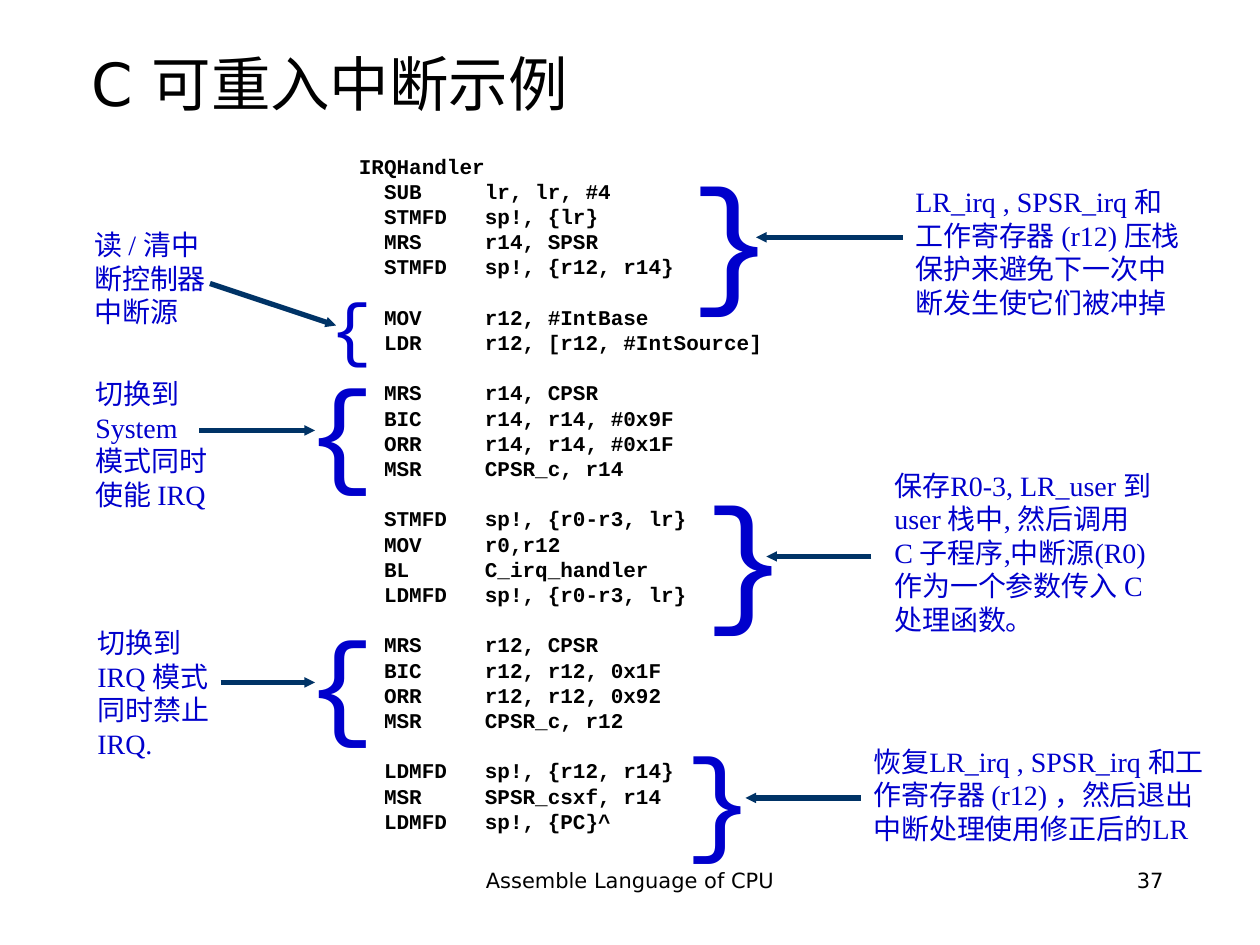
"""Build the slide on a reentrant C interrupt handler, on a grid of 120 columns by 90 rows."""
import pptx
import pptx.dml.color
import pptx.enum.shapes
import pptx.enum.text
import pptx.oxml.ns
import pptx.util
from lxml import etree

PP_ALIGN = pptx.enum.text.PP_ALIGN
ANCHOR = pptx.enum.text.MSO_ANCHOR
MARGINS = ("margin_left", "margin_top", "margin_right", "margin_bottom")

prs = pptx.Presentation()
prs.slide_width, prs.slide_height = pptx.util.Inches(10), pptx.util.Inches(7.5)
s = prs.slides.add_slide(prs.slide_layouts[5])


def rgb(h):
    """Turn a hex string into a colour."""
    return pptx.dml.color.RGBColor.from_string(h)


def put(sp, at, lines, size, font, color, bold=False, align=PP_ALIGN.LEFT,
        anchor=ANCHOR.TOP, inset=True, leading=1.2):
    """Place a text shape on the grid and fill it; a line starting a new group gets a gap."""
    for name, v in zip(("left", "top", "width", "height"), at):
        setattr(sp, name, int(v * prs.slide_width / 120))
    tf = sp.text_frame
    tf.word_wrap, tf.vertical_anchor = True, anchor
    tf.auto_size = pptx.enum.text.MSO_AUTO_SIZE.NONE
    for name, v in zip(MARGINS, (0.1, 0.05, 0.1, 0.05)):
        setattr(tf, name, pptx.util.Inches(v if inset else 0))
    for i, (line, gap) in enumerate(lines):
        p = tf.paragraphs[0] if i == 0 else tf.add_paragraph()
        spacing = pptx.util.Pt(size * leading)
        form = {"alignment": align, "line_spacing": spacing,
                "space_before": spacing if gap else pptx.util.Pt(0)}
        for name, v in form.items():
            setattr(p, name, v)
        if "\t" in line:
            tabs = etree.SubElement(p._p.get_or_add_pPr(), pptx.oxml.ns.qn("a:tabLst"))
            etree.SubElement(tabs, pptx.oxml.ns.qn("a:tab"),
                             pos=str(pptx.util.Inches(1)), algn="l")
        r = p.add_run()
        r.text = line
        for name, v in {"size": pptx.util.Pt(size), "name": font, "bold": bold}.items():
            setattr(r.font, name, v)
        r.font.color.rgb = rgb(color)


put(s.shapes.title, (7.5, 4.1, 105, 7.8), [("C 可重入中断示例", False)], 34, "DejaVu Sans",
    "000000", anchor=ANCHOR.BOTTOM)

for at, text, align in (
    ((41, 82, 38, 6.2), "Assemble Language of CPU", PP_ALIGN.CENTER),
    ((86, 82, 26, 6.2), "37", PP_ALIGN.RIGHT),
):
    put(s.shapes.add_textbox(0, 0, 0, 0), at, [(text, False)], 12, "DejaVu Sans", "000000",
        align=align)

groups = (
    ("IRQHandler", "  SUB\tlr, lr, #4", "  STMFD\tsp!, {lr}", "  MRS\tr14, SPSR",
     "  STMFD\tsp!, {r12, r14}"),
    ("  MOV\tr12, #IntBase", "  LDR\tr12, [r12, #IntSource]"),
    ("  MRS\tr14, CPSR", "  BIC\tr14, r14, #0x9F", "  ORR\tr14, r14, #0x1F",
     "  MSR\tCPSR_c, r14"),
    ("  STMFD\tsp!, {r0-r3, lr}", "  MOV\tr0,r12", "  BL\tC_irq_handler",
     "  LDMFD\tsp!, {r0-r3, lr}"),
    ("  MRS\tr12, CPSR", "  BIC\tr12, r12, 0x1F", "  ORR\tr12, r12, 0x92",
     "  MSR\tCPSR_c, r12"),
    ("  LDMFD\tsp!, {r12, r14}", "  MSR\tSPSR_csxf, r14", "  LDMFD\tsp!, {PC}^"),
)
code = [(line, g > 0 and i == 0) for g, group in enumerate(groups)
        for i, line in enumerate(group)]
put(s.shapes.add_textbox(0, 0, 0, 0), (33, 14, 54, 66), code, 12, "Courier New", "000000",
    bold=True)

notes = (
    ("读 / 清中断控制器中断源", (7.8, 21.1, 13.2, 10.8),
     (20, 27, 32, 31), "{", 40, (31.5, 27)),
    ("切换到 System 模式同时使能 IRQ", (7.9, 35.3, 13.3, 17.3),
     (19, 41, 30, 41), "{", 66, (29.2, 34)),
    ("切换到 IRQ 模式同时禁止 IRQ.", (8.1, 59, 14.4, 14),
     (21, 65, 30, 65), "{", 66, (29.2, 58)),
    ("LR_irq , SPSR_irq 和工作寄存器 (r12) 压栈保护来避免下一次中断发生使它们被冲掉",
     (86, 17, 28.2, 17.3), (86, 22.6, 72, 22.6), "}", 80, (65.7, 14.1)),
    ("保存R0-3, LR_user 到 user 栈中, 然后调用 C 子程序,中断源(R0)作为一个参数传入 C 处理函数。",
     (84, 44, 27, 20.4), (83, 53, 73, 53), "}", 80, (67, 44.5)),
    ("恢复LR_irq , SPSR_irq 和工作寄存器 (r12) ，然后退出中断处理使用修正后的LR",
     (82, 70.3, 34, 14), (82, 76, 71, 76), "}", 66, (65.2, 69.1)),
)
for text, at, ends, brace, size, corner in notes:
    put(s.shapes.add_textbox(0, 0, 0, 0), at, [(text, False)], 16, "Times New Roman", "0000CC")
    put(s.shapes.add_textbox(0, 0, 0, 0), (*corner, 7, size / 5), [(brace, False)], size,
        "Courier New", "0000CC", anchor=ANCHOR.MIDDLE, inset=False)
    c = s.shapes.add_connector(pptx.enum.shapes.MSO_CONNECTOR.STRAIGHT,
                               *(int(v * prs.slide_width / 120) for v in ends))
    c.line.color.rgb, c.line.width = rgb("003366"), pptx.util.Pt(3)
    etree.SubElement(c.line._get_or_add_ln(), pptx.oxml.ns.qn("a:tailEnd"),
                     type="triangle", w="sm", len="sm")
    etree.SubElement(c._element.spPr, pptx.oxml.ns.qn("a:effectLst"))

prs.save("out.pptx")
